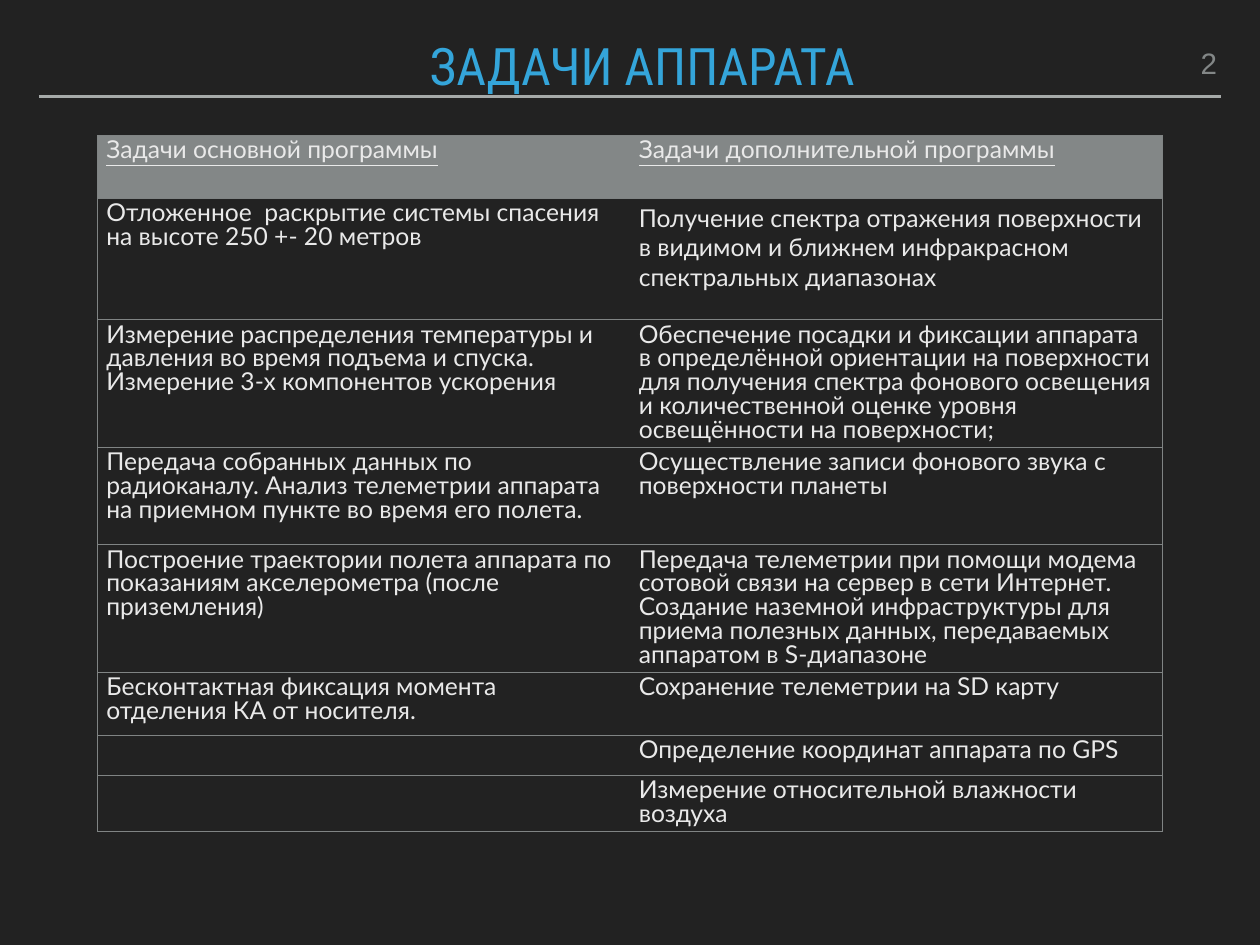
from dataclasses import dataclass
from typing import NamedTuple

from lxml import etree
from pptx import Presentation
from pptx import util as u
from pptx.dml.color import RGBColor
from pptx.enum import shapes, text
from pptx.oxml import ns


@dataclass(frozen=True)
class Theme:
    background: str = "222222"
    accent: str = "34A5DA"
    muted: str = "838787"
    body: str = "E9E9E9"
    rule: str = "A6AAA9"
    border: str = "808484"
    title_size: int = 42
    number_size: int = 24
    body_size: int = 20
    rule_width: float = 2
    border_width: float = 0.75
    line_spacing: float = 0.8


class Task(NamedTuple):
    height: float
    main: str
    extra: str
    extra_spacing: float = 0.8


class Label(NamedTuple):
    content: str
    box: tuple[float, float, float, float]
    font: dict
    color: str
    anchor: text.MSO_ANCHOR
    align: text.PP_ALIGN
    wrap: bool


THEME = Theme()

LABELS = [
    Label("2", (13.49, 0.47, 0.28, 0.5),
          {"name": "Arial", "size": u.Pt(THEME.number_size)}, THEME.muted,
          text.MSO_ANCHOR.BOTTOM, text.PP_ALIGN.RIGHT, False),
    Label("ЗАДАЧИ АППАРАТА", (4.79, 0.46, 6.04, 0.56),
          {"name": "Roboto Condensed", "size": u.Pt(THEME.title_size)}, THEME.accent,
          text.MSO_ANCHOR.TOP, text.PP_ALIGN.LEFT, True),
]

TASKS = [
    Task(0.71, "Задачи основной программы", "Задачи дополнительной программы"),
    Task(1.37, "Отложенное  раскрытие системы спасения на высоте 250 +- 20 метров",
         "Получение спектра отражения поверхности в видимом и ближнем инфракрасном "
         "спектральных диапазонах", 1.0),
    Task(1.44, "Измерение распределения температуры и давления во время подъема и спуска. "
         "Измерение 3-х компонентов ускорения",
         "Обеспечение посадки и фиксации аппарата в определённой ориентации на поверхности "
         "для получения спектра фонового освещения и количественной оценке уровня "
         "освещённости на поверхности;"),
    Task(1.1, "Передача собранных данных по радиоканалу. Анализ телеметрии аппарата "
         "на приемном пункте во время его полета.",
         "Осуществление записи фонового звука с поверхности планеты"),
    Task(1.44, "Построение траектории полета аппарата по показаниям акселерометра "
         "(после приземления)",
         "Передача телеметрии при помощи модема сотовой связи на сервер в сети Интернет. "
         "Создание наземной инфраструктуры для приема полезных данных, передаваемых "
         "аппаратом в S-диапазоне"),
    Task(0.71, "Бесконтактная фиксация момента отделения КА от носителя.",
         "Сохранение телеметрии на SD карту"),
    Task(0.45, "", "Определение координат аппарата по GPS"),
    Task(0.64, "", "Измерение относительной влажности воздуха"),
]


def style_font(font, color: str, values: dict) -> None:
    for name, value in values.items():
        setattr(font, name, value)
    font.color.rgb = RGBColor.from_string(color)


def add_label(slide, label: Label) -> None:
    frame = slide.shapes.add_textbox(*map(u.Inches, label.box)).text_frame
    layout = dict.fromkeys(("margin_left", "margin_top", "margin_right", "margin_bottom"),
                           u.Inches(0.06))
    layout |= {"word_wrap": label.wrap, "vertical_anchor": label.anchor}
    for name, value in layout.items():
        setattr(frame, name, value)
    line = frame.paragraphs[0]
    line.text = label.content
    line.alignment = label.align
    line.line_spacing = THEME.line_spacing
    style_font(line.runs[0].font, label.color, label.font)


def add_title_rule(slide) -> None:
    rule = slide.shapes.add_connector(
        shapes.MSO_CONNECTOR.STRAIGHT, *map(u.Inches, (0.44, 1.09, 13.78, 1.09)))
    rule.line.color.rgb = RGBColor.from_string(THEME.rule)
    rule.line.width = u.Pt(THEME.rule_width)
    etree.SubElement(rule._element.spPr, ns.qn("a:effectLst"))


def set_borders(cell, inner_side: str) -> None:
    """Outline the cell, leaving the side between the two columns open."""
    properties = cell._tc.get_or_add_tcPr()
    for side in ("lnL", "lnR", "lnT", "lnB"):
        edge = etree.SubElement(properties, ns.qn(f"a:{side}"),
                                w=str(u.Pt(THEME.border_width)))
        if side == inner_side:
            etree.SubElement(edge, ns.qn("a:noFill"))
        else:
            fill = etree.SubElement(edge, ns.qn("a:solidFill"))
            etree.SubElement(fill, ns.qn("a:srgbClr"), val=THEME.border)


def fill_cell(cell, content: str, spacing: float, is_header: bool) -> None:
    if is_header:
        cell.fill.solid()
        cell.fill.fore_color.rgb = RGBColor.from_string(THEME.muted)
    else:
        cell.fill.background()
    line = cell.text_frame.paragraphs[0]
    line.text = content
    line.line_spacing = spacing
    font = line.runs[0].font if content else line.font
    style_font(font, THEME.body, {"name": "Lato", "size": u.Pt(THEME.body_size),
                                  "bold": False, "underline": is_header})


def add_tasks(slide) -> None:
    box = (1.1, 1.53, 12.02, sum(task.height for task in TASKS))
    table = slide.shapes.add_table(len(TASKS), 2, *map(u.Inches, box)).table
    table.horz_banding = False
    for index, task in enumerate(TASKS):
        table.rows[index].height = u.Inches(task.height)
        columns = ((task.main, THEME.line_spacing, "lnR"),
                   (task.extra, task.extra_spacing, "lnL"))
        for column, (content, spacing, inner_side) in enumerate(columns):
            cell = table.cell(index, column)
            set_borders(cell, inner_side)
            fill_cell(cell, content, spacing, index == 0)


def main() -> None:
    deck = Presentation()
    deck.slide_width, deck.slide_height = u.Inches(14.22), u.Inches(10.67)
    slide = deck.slides.add_slide(deck.slide_layouts[6])
    slide.background.fill.solid()
    slide.background.fill.fore_color.rgb = RGBColor.from_string(THEME.background)
    add_title_rule(slide)
    add_tasks(slide)
    for label in LABELS:
        add_label(slide, label)
    deck.save("out.pptx")


if __name__ == "__main__":
    main()
